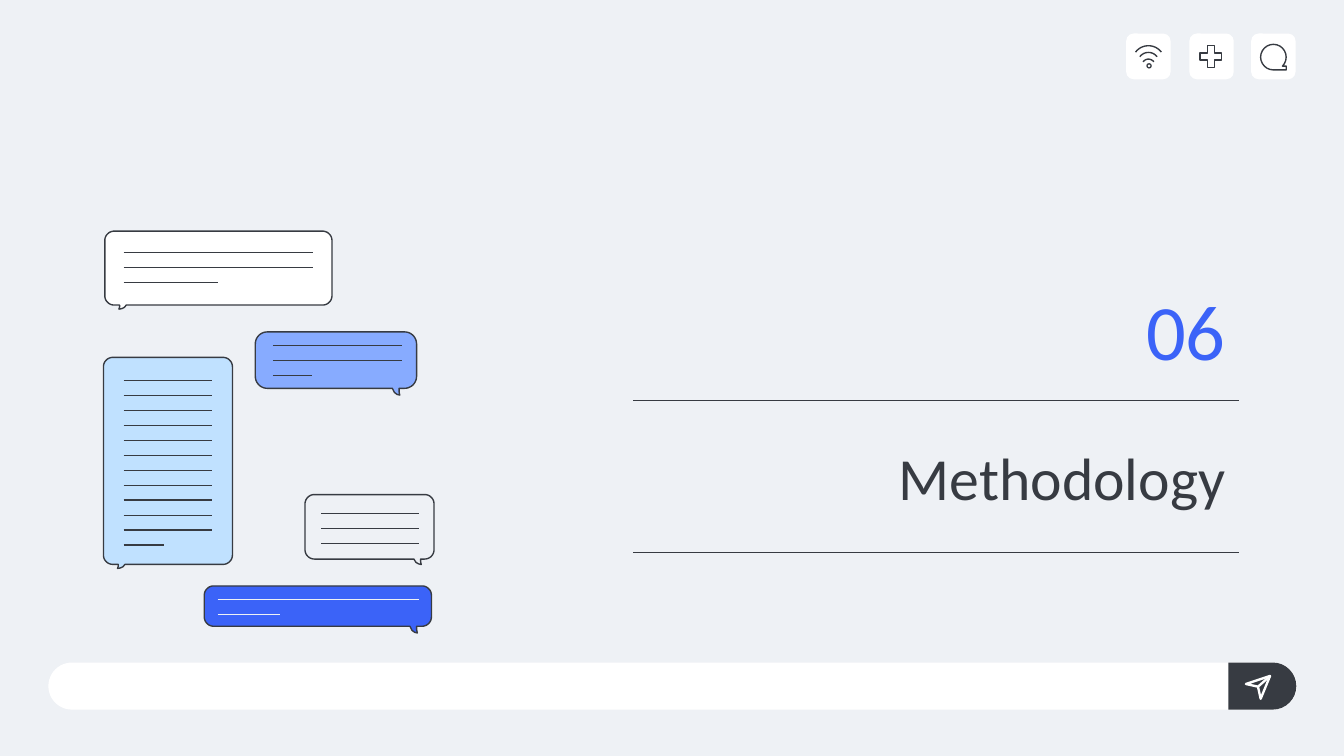
import math
from dataclasses import dataclass

from lxml import etree
from pptx import Presentation
from pptx.dml.color import RGBColor
from pptx.enum.shapes import MSO_CONNECTOR, MSO_SHAPE
from pptx.enum.text import MSO_ANCHOR, MSO_AUTO_SIZE, PP_ALIGN
from pptx.oxml.ns import qn
from pptx.util import Pt

PX = 9144  # EMU; 100 px to the inch
SLIDE_W = 1000 * PX
SLIDE_H = SLIDE_W * 9 // 16
PAPER = RGBColor(0xEE, 0xF1, 0xF5)
WHITE = RGBColor(0xFF, 0xFF, 0xFF)
INK = RGBColor(0x37, 0x3B, 0x42)
BLUE = RGBColor(0x3B, 0x63, 0xF8)
MID_BLUE = RGBColor(0x87, 0xAB, 0xFF)
PALE_BLUE = RGBColor(0xC0, 0xE1, 0xFF)
FONT = "Calibri"
THIN = 0.75
ROW_PITCH = 11.15

STRAIGHT = MSO_CONNECTOR.STRAIGHT
ROUND_RECT = MSO_SHAPE.ROUNDED_RECTANGLE
PLUS = MSO_SHAPE.MATH_PLUS
TAPE = MSO_SHAPE.FLOWCHART_SEQUENTIAL_ACCESS_STORAGE
DONUT = MSO_SHAPE.DONUT
MIDDLE, BOTTOM = MSO_ANCHOR.MIDDLE, MSO_ANCHOR.BOTTOM
RIGHT = PP_ALIGN.RIGHT
NO_AUTOFIT = MSO_AUTO_SIZE.NONE

Point = tuple[float, float]


@dataclass
class Bubble:
    x: int
    y: int
    w: int
    h: int
    radius: int
    tail_right: bool
    tail_inset: int
    tail_depth: int
    fill: RGBColor
    row_x: int
    row_end: int
    last_end: int
    row_y: int
    rows: int
    row_color: RGBColor = INK


@dataclass
class Heading:
    text: str
    x: int
    y: int
    w: int
    h: int
    size: int
    color: RGBColor
    anchor: MSO_ANCHOR


BUBBLES = [
    Bubble(78, 172, 169, 55, 7, False, 11, 3, WHITE, 92, 233, 162, 188, 3),
    Bubble(77, 266, 96, 154, 7, False, 11, 3, PALE_BLUE, 92, 158, 122, 283, 12),
    Bubble(152, 436, 169, 30, 7, True, 11, 5, BLUE, 162, 312, 208, 446, 2, PAPER),
    Bubble(227, 368, 96, 48, 7, True, 10, 4, PAPER, 239, 312, 312, 382, 3),
    Bubble(190, 247, 120, 42, 9, True, 13, 5, MID_BLUE, 203, 299, 232, 257, 3),
]
HEADINGS = [
    Heading("Methodology", 345, 298, 577, 113, 32, INK, MIDDLE),
    Heading("06", 787, 198, 135, 92, 42, BLUE, BOTTOM),
]
TILE_XS = (838, 885, 931)
WIFI_ARCS = ((46, 12), (47, 8), (49, 5))  # centre y, radius
WIFI_X = 854.5


def paint(shape, fill: RGBColor | None, line: RGBColor | None, width: float):
    shape.shadow.inherit = False
    if fill is None:
        shape.fill.background()
    else:
        shape.fill.solid()
        shape.fill.fore_color.rgb = fill
    if line is None:
        shape.line.fill.background()
    else:
        shape.line.color.rgb = line
        shape.line.width = Pt(width)


def add_preset(s, kind, x: int, y: int, w: int, h: int, adj: float | None = None,
               fill: RGBColor | None = None, line: RGBColor | None = None):
    sp = s.shapes.add_shape(kind, x * PX, y * PX, w * PX, h * PX)
    if adj is not None:
        sp.adjustments[0] = adj
    paint(sp, fill, line, THIN)


def add_outline(s, points: list[Point], fill: RGBColor | None = None,
                line: RGBColor | None = None, width: float = THIN, close: bool = True):
    emu = [(round(x * PX), round(y * PX)) for x, y in points]
    builder = s.shapes.build_freeform(*emu[0], scale=1.0)
    builder.add_line_segments(emu[1:], close=close)
    paint(builder.convert_to_shape(), fill, line, width)


def add_line(s, x1: float, y1: float, x2: float, y2: float,
             color: RGBColor = INK, width: float = THIN):
    ends = [round(v * PX) for v in (x1, y1, x2, y2)]
    line = s.shapes.add_connector(STRAIGHT, *ends)
    line.line.color.rgb = color
    line.line.width = Pt(width)
    etree.SubElement(line._element.spPr, qn("a:effectLst"))


def arc(cx: float, cy: float, r: float, start: int, end: int, steps: int = 16) -> list[Point]:
    """Points on a circle; degrees run clockwise from the right."""
    angles = [math.radians(start + (end - start) * i / steps) for i in range(steps + 1)]
    return [(cx + r * math.cos(a), cy + r * math.sin(a)) for a in angles]


def bubble_outline(b: Bubble) -> list[Point]:
    """Rounded box with its tail at the lower left, mirrored for a right tail."""
    r, t, d = b.radius, b.tail_inset, b.tail_depth
    points = arc(r, r, r, 180, 270) + arc(b.w - r, r, r, 270, 360)
    points += arc(b.w - r, b.h - r, r, 0, 90)
    points += [(t + 5, b.h), (t + 3.5, b.h + d * 0.6), (t + 1.5, b.h + d * 0.9),
               (t - 0.5, b.h + d), (t, b.h + d * 0.5), (t, b.h)]
    points += arc(r, b.h - r, r, 90, 180)
    return [(b.x + (b.w - x if b.tail_right else x), b.y + y) for x, y in points]


def add_bubble(s, b: Bubble):
    add_outline(s, bubble_outline(b), b.fill, INK)
    for i in range(b.rows):
        y = b.row_y + i * ROW_PITCH
        end = b.last_end if i == b.rows - 1 else b.row_end
        add_line(s, b.row_x, y, end, y, b.row_color)


def format_heading(sp, h: Heading):
    sp.left, sp.top, sp.width, sp.height = (v * PX for v in (h.x, h.y, h.w, h.h))
    tf = sp.text_frame
    tf.text = h.text
    tf.word_wrap = True
    tf.auto_size = NO_AUTOFIT
    tf.vertical_anchor = h.anchor
    tf.margin_left = tf.margin_right = tf.margin_top = tf.margin_bottom = 10 * PX
    p = tf.paragraphs[0]
    p.alignment = RIGHT
    p.space_before = Pt(0)
    font = p.runs[0].font
    font.name, font.size, font.bold = FONT, Pt(h.size), False
    font.color.rgb = h.color


def add_icons(s):
    for x in TILE_XS:
        add_preset(s, ROUND_RECT, x, 25, 33, 34, 0.167, WHITE)
    add_preset(s, PLUS, 890, 31, 22, 22, 0.235, line=INK)
    add_preset(s, TAPE, 938, 33, 19, 19, line=INK)
    for cy, r in WIFI_ARCS:
        add_outline(s, arc(WIFI_X, cy, r, 217, 323), line=INK, close=False)
    add_preset(s, DONUT, 853, 47, 4, 4, 0.25, INK)


def add_message_bar(s):
    add_preset(s, ROUND_RECT, 36, 493, 929, 35, 0.5, WHITE)
    add_outline(s, [(914, 493)] + arc(947, 510.5, 17.5, -90, 90) + [(914, 528)], INK)
    plane = [(927, 509), (945, 503), (938, 520), (936, 511)]
    add_outline(s, plane, line=WHITE, width=1.25)
    add_line(s, 936, 511, 945, 503, WHITE, 1.25)


def main():
    prs = Presentation()
    prs.slide_width, prs.slide_height = SLIDE_W, SLIDE_H
    s = prs.slides.add_slide(prs.slide_layouts[0])
    s.background.fill.solid()
    s.background.fill.fore_color.rgb = PAPER
    for sp, heading in zip(s.placeholders, HEADINGS):
        format_heading(sp, heading)
    add_icons(s)
    add_message_bar(s)
    for bubble in BUBBLES:
        add_bubble(s, bubble)
    for y in (298, 411):
        add_line(s, 471, y, 922, y)
    prs.save("out.pptx")


if __name__ == "__main__":
    main()
